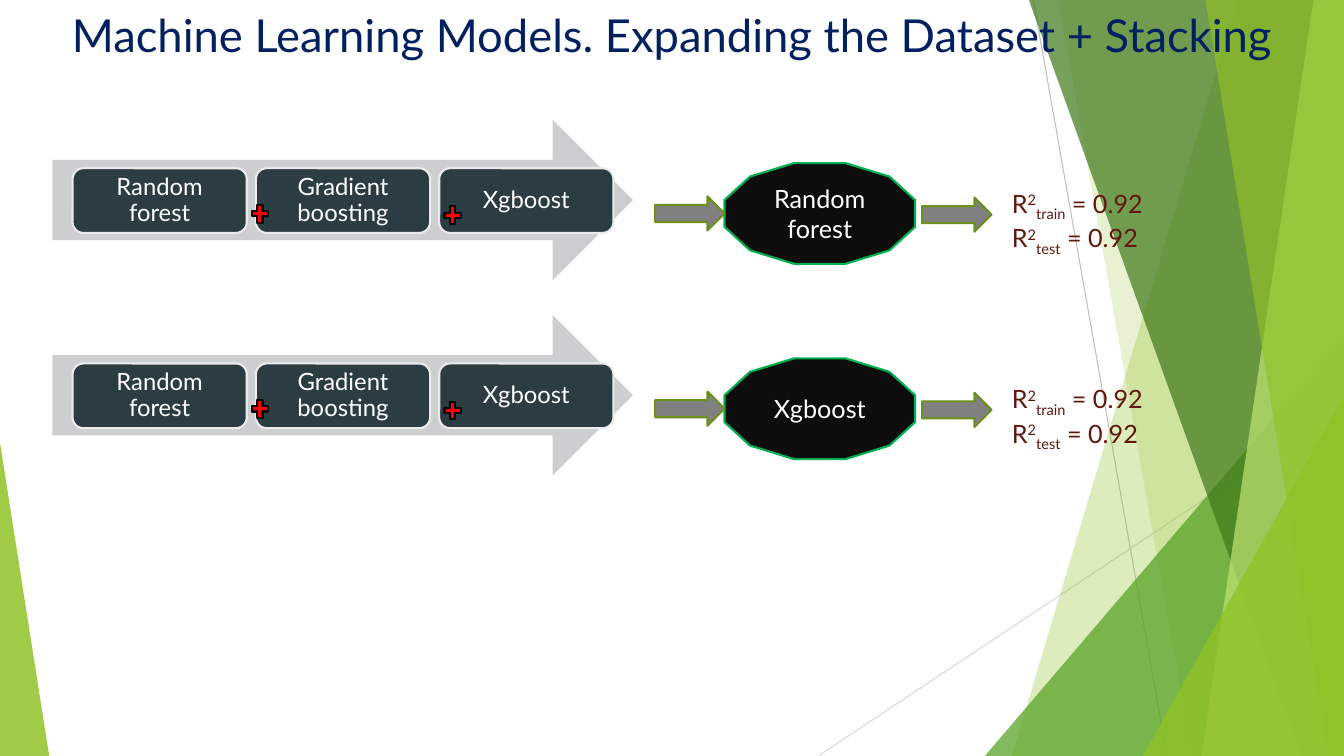
import dataclasses

import lxml.etree
import pptx
import pptx.dml.color
import pptx.enum.shapes
import pptx.enum.text
import pptx.oxml.ns
import pptx.util

Cm = pptx.util.Cm
Pt = pptx.util.Pt
RGB = pptx.dml.color.RGBColor.from_string
SHAPE = pptx.enum.shapes.MSO_SHAPE
ALIGN = pptx.enum.text.PP_ALIGN
ANCHOR = pptx.enum.text.MSO_ANCHOR
AUTO = pptx.enum.text.MSO_AUTO_SIZE
qn = pptx.oxml.ns.qn


@dataclasses.dataclass(frozen=True)
class Theme:
    font: str = "Lato"
    title_size: float = 32.4
    text_size: float = 18
    box_size: float = 17
    line_width: float = 1.5
    title: str = "002060"
    result: str = "62170D"
    white: str = "FFFFFF"
    lime: str = "90C226"
    green: str = "54A021"
    forest: str = "3F7819"
    pale: str = "C0E474"
    stage: str = "CDCECF"
    box: str = "2C3C43"
    box_edge: str = "EBEBEB"
    final: str = "0D0D0D"
    final_edge: str = "00B050"
    arrow: str = "808080"
    arrow_edge: str = "6B901C"
    plus: str = "FF0000"
    plus_edge: str = "000000"


T = Theme()


def paint(sp, fill, edge=None, alpha=None):
    sp.shadow.inherit = False
    sp.fill.solid()
    sp.fill.fore_color.rgb = RGB(fill)
    if alpha:
        clr = sp.element.spPr.find(qn("a:solidFill")).find(qn("a:srgbClr"))
        lxml.etree.SubElement(clr, qn("a:alpha")).set("val", str(alpha * 1000))
    if edge:
        sp.line.color.rgb = RGB(edge)
        sp.line.width = Pt(T.line_width)
    else:
        sp.line.fill.background()


def write(p, text, size, color, baseline=0):
    r = p.add_run()
    r.text = text
    r.font.name = T.font
    r.font.size = Pt(size)
    r.font.color.rgb = RGB(color)
    if baseline:
        r._r.get_or_add_rPr().set("baseline", str(baseline * 1000))


prs = pptx.Presentation()
prs.slide_width = Cm(33.87)
prs.slide_height = Cm(19.05)
s = prs.slides.add_slide(prs.slide_layouts[5])

for x1, y1, x2, y2, color in [
    (26.04, 0, 29.41, 19.05, "BFBFBF"),
    (33.87, 10.24, 20.62, 19.05, "D9D9D9"),
]:
    cx = s.shapes.add_connector(
        pptx.enum.shapes.MSO_CONNECTOR.STRAIGHT, Cm(x1), Cm(y1), Cm(x2), Cm(y2)
    )
    cx.line.color.rgb = RGB(color)
    cx.line.width = Pt(0.75)
    lxml.etree.SubElement(cx.element.spPr, qn("a:effectLst"))

for kind, place, color, alpha in [
    ("band", (3119, 2550), T.lime, 30),
    ("band", (2667, 3005), T.lime, 20),
    ("triangle", (24.82, 8.46, 9.05, 10.59, 1), T.green, 72),
    ("band", (2593, 3279), T.forest, 70),
    ("band", (3310, 3028), T.pale, 70),
    ("band", (3038, 3348), T.lime, 65),
    ("triangle", (28.8, 9.98, 5.07, 9.07, 1), T.lime, 80),
    ("triangle", (0, 11.15, 1.24, 7.9, 0), T.lime, 85),
]:
    if kind == "band":
        top, bottom = place
        fb = s.shapes.build_freeform(top, 0, scale=Cm(0.01))
        fb.add_line_segments([(3387, 0), (3387, 1905), (bottom, 1905)], close=True)
        sp = fb.convert_to_shape()
    else:
        x, y, w, h, apex = place
        sp = s.shapes.add_shape(SHAPE.ISOSCELES_TRIANGLE, Cm(x), Cm(y), Cm(w), Cm(h))
        sp.adjustments[0] = apex
    paint(sp, color, alpha=alpha)

title = s.shapes.title
title.element.getparent().append(title.element)
title.left, title.top, title.width, title.height = Cm(0), Cm(0.05), Cm(33.87), Cm(2.03)
tf = title.text_frame
tf.word_wrap = True
tf.auto_size = AUTO.NONE
tf.vertical_anchor = ANCHOR.TOP
p = tf.paragraphs[0]
p.alignment = ALIGN.CENTER
write(p, "Machine Learning Models. Expanding the Dataset + Stacking", T.title_size, T.title)

models = ["Random forest", "Gradient boosting", "Xgboost"]
for row, final in enumerate(["Random forest", "Xgboost"]):
    top = 3.02 + row * 4.92

    sp = s.shapes.add_shape(SHAPE.RIGHT_ARROW, Cm(1.32), Cm(top), Cm(14.63), Cm(4.04))
    paint(sp, T.stage)

    nodes = [
        (SHAPE.ROUNDED_RECTANGLE, 1.83 + 4.62 * i, 1.22, 4.39, 1.63,
         T.box, T.box_edge, model, T.box_size)
        for i, model in enumerate(models)
    ]
    nodes.append((SHAPE.DODECAGON, 18.26, 1.09, 4.8, 2.54,
                  T.final, T.final_edge, final, T.text_size))
    for kind, x, dy, w, h, fill, edge, text, size in nodes:
        sp = s.shapes.add_shape(kind, Cm(x), Cm(top + dy), Cm(w), Cm(h))
        paint(sp, fill, edge)
        tf = sp.text_frame
        tf.word_wrap = True
        tf.vertical_anchor = ANCHOR.MIDDLE
        p = tf.paragraphs[0]
        p.alignment = ALIGN.CENTER
        if kind == SHAPE.ROUNDED_RECTANGLE:
            p.line_spacing = 0.9
            p.space_after = Pt(6)
        write(p, text, size, T.white)

    for kind, x, dy, w, h, fill, edge in [
        (SHAPE.RIGHT_ARROW, 16.51, 1.93, 1.75, 0.86, T.arrow, T.arrow_edge),
        (SHAPE.RIGHT_ARROW, 23.24, 1.96, 1.75, 0.86, T.arrow, T.arrow_edge),
        (SHAPE.MATH_PLUS, 6.27, 2.06, 0.56, 0.61, T.plus, T.plus_edge),
        (SHAPE.MATH_PLUS, 11.13, 2.1, 0.56, 0.61, T.plus, T.plus_edge),
    ]:
        sp = s.shapes.add_shape(kind, Cm(x), Cm(top + dy), Cm(w), Cm(h))
        paint(sp, fill, edge)

    sp = s.shapes.add_textbox(Cm(25.25), Cm(top + 1.6), Cm(4.32), Cm(1.8))
    tf = sp.text_frame
    tf.word_wrap = True
    tf.auto_size = AUTO.SHAPE_TO_FIT_TEXT
    for i, subset in enumerate(["train", "test"]):
        p = tf.add_paragraph() if i else tf.paragraphs[0]
        for text, baseline in [("R", 0), ("2", 30), (subset, -25), (" = 0.92", 0)]:
            write(p, text, T.text_size, T.result, baseline)

prs.save("out.pptx")
